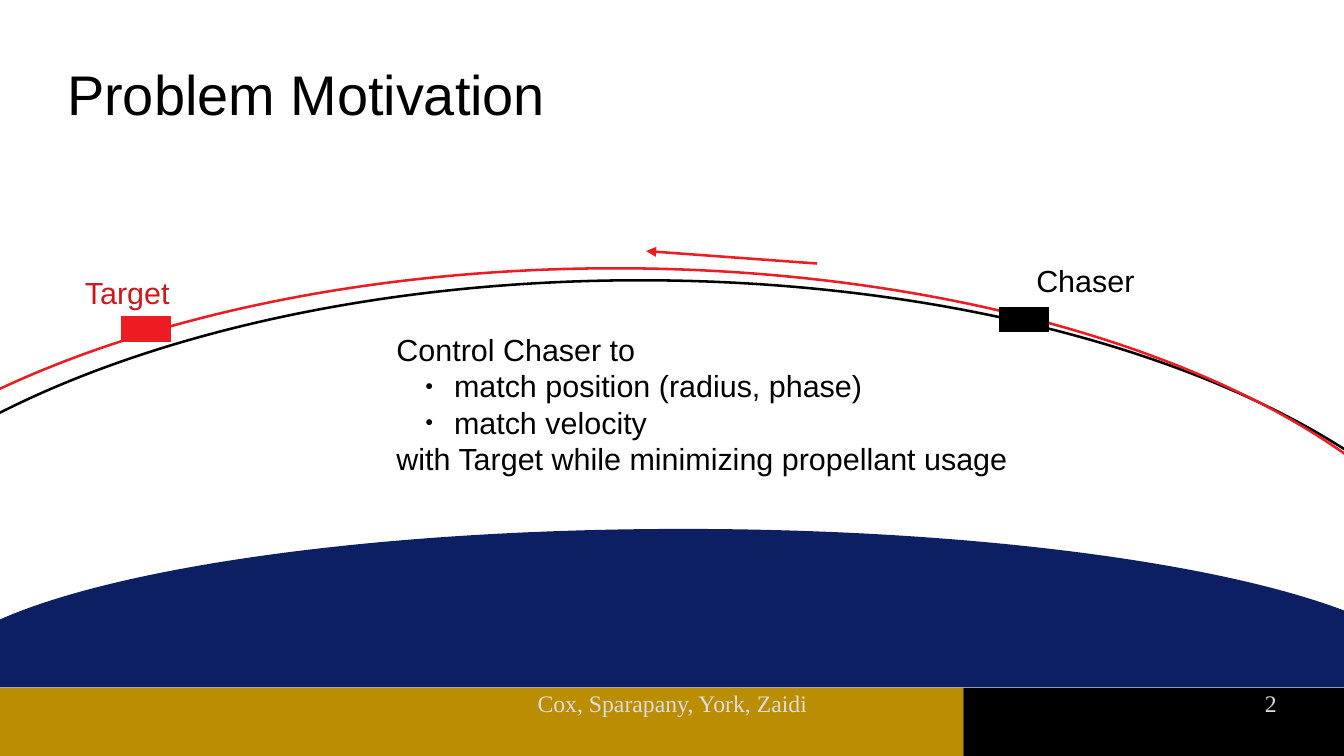
from lxml.etree import SubElement
from pptx import Presentation
from pptx.dml.color import RGBColor
from pptx.enum.shapes import MSO_CONNECTOR, MSO_SHAPE
from pptx.enum.text import MSO_ANCHOR, PP_ALIGN
from pptx.oxml.ns import qn
from pptx.util import Cm, Pt

COLORS = {
    "black": "000000", "gold": "BA8D02", "red": "ED1C24",
    "target": "CE181E", "earth": "0D1F63", "footer": "DDDDDD",
}
PAGE_WIDTH, PAGE_HEIGHT = 28, 15.75
FOOTER_TOP, FOOTER_SPLIT = 14.33, 20.07
SATELLITE_SIZE = (1.02, 0.51)
LABEL_SIZE = (3.05, 1.02)
ORBIT_SIZE = (36.83, 17.78)


def color(name):
    return RGBColor.from_string(COLORS[name])


def add_bullet(para):
    properties = para._p.get_or_add_pPr()
    properties.set("marL", str(Cm(1.2)))
    properties.set("indent", str(Cm(-0.6)))
    properties.set("lvl", "1")
    tint = SubElement(properties, qn("a:buClr"))
    SubElement(tint, qn("a:srgbClr"), val=COLORS["black"])
    SubElement(properties, qn("a:buSzPct"), val="45000")
    SubElement(properties, qn("a:buFont"), typeface="Arial")
    SubElement(properties, qn("a:buChar"), char="●")


def add_text(page, box, text, size=18, font="Arial", fill="black",
             align=PP_ALIGN.LEFT, anchor=MSO_ANCHOR.TOP, inset=(0.25, 0.13), bullets=()):
    """Write one paragraph per line of text; bullets holds the indexes of bulleted lines."""
    frame = page.shapes.add_textbox(*map(Cm, box)).text_frame
    frame.word_wrap = True
    frame.vertical_anchor = anchor
    frame.margin_left = frame.margin_right = Cm(inset[0])
    frame.margin_top = frame.margin_bottom = Cm(inset[1])
    for index, line in enumerate(text.split("\n")):
        para = frame.paragraphs[0] if index == 0 else frame.add_paragraph()
        para.alignment = align
        if index in bullets:
            add_bullet(para)
        span = para.add_run()
        span.text = line
        span.font.size = Pt(size)
        span.font.name = font
        span.font.color.rgb = color(fill)


def add_preset(page, kind, box, fill=None, line=None, line_width=1.5):
    shape = page.shapes.add_shape(kind, *map(Cm, box))
    shape.shadow.inherit = False
    if fill:
        shape.fill.solid()
        shape.fill.fore_color.rgb = color(fill)
    else:
        shape.fill.background()
    if line:
        shape.line.color.rgb = color(line)
        shape.line.width = Pt(line_width)
    else:
        shape.line.fill.background()
    return shape


def add_footer_bars(page, box):
    left, top, width, height = box
    for start, end, fill in ((left, FOOTER_SPLIT, "gold"),
                             (FOOTER_SPLIT, left + width, "black")):
        add_preset(page, MSO_SHAPE.RECTANGLE, (start, top, end - start, height), fill=fill)


def add_footer_text(page, box):
    left, top, width, height = box
    style = {"size": 14, "font": "Times New Roman", "fill": "footer", "inset": (0, 0)}
    add_text(page, (left + 9.58, top, 8.86, height), "Cox, Sparapany, York, Zaidi",
             align=PP_ALIGN.CENTER, **style)
    add_text(page, (FOOTER_SPLIT, top, left + width - 1.4 - FOOTER_SPLIT, height), "2",
             align=PP_ALIGN.RIGHT, **style)


def add_earth(page, box):
    """Fill the upper half of the ellipse in the box."""
    earth = add_preset(page, MSO_SHAPE.CHORD, box, fill="earth")
    half_turn = 180 * 60000 / 100000
    earth.adjustments[0] = half_turn
    earth.adjustments[1] = 0


def add_motion_arrow(page, start, end):
    arrow = page.shapes.add_connector(MSO_CONNECTOR.STRAIGHT, *map(Cm, start + end))
    arrow.line.color.rgb = color("red")
    arrow.line.width = Pt(1.5)
    SubElement(arrow.line._get_or_add_ln(), qn("a:tailEnd"), type="triangle")
    SubElement(arrow._element.spPr, qn("a:effectLst"))


def add_orbits(page, box):
    """Place both orbits, their satellites and labels from the top left of the box."""
    left, top = box[:2]
    for x, y, line in ((-5.08, 0.25, "black"), (-5.59, 0, "red")):
        add_preset(page, MSO_SHAPE.OVAL, (left + x, top + y, *ORBIT_SIZE), line=line)
    satellites = (
        ("Chaser", (20.83, 0.81), "black", (21.34, -0.26), "black"),
        ("Target", (2.54, 1.01), "red", (1.52, 0), "target"),
    )
    for name, (x, y), fill, (label_x, label_y), label_fill in satellites:
        add_preset(page, MSO_SHAPE.RECTANGLE, (left + x, top + y, *SATELLITE_SIZE),
                   fill=fill, line=fill, line_width=0)
        add_text(page, (left + label_x, top + label_y, *LABEL_SIZE), name, fill=label_fill)


def main():
    deck = Presentation()
    deck.slide_width, deck.slide_height = Cm(PAGE_WIDTH), Cm(PAGE_HEIGHT)
    page = deck.slides.add_slide(deck.slide_layouts[6])

    add_footer_bars(page, (0, FOOTER_TOP, 28.2, 1.93))
    add_text(page, (1.4, 0.63, 25.2, 2.64), "Problem Motivation", size=33,
             anchor=MSO_ANCHOR.MIDDLE, inset=(0, 0))
    add_orbits(page, (0, 5.59, PAGE_WIDTH, 8.74))
    add_earth(page, (-1.52, 11.02, 31.5, 6.6))
    add_motion_arrow(page, (17.02, 5.49), (13.46, 5.23))
    add_text(page, (8.01, 6.76, 14.48, 3.81),
             "Control Chaser to\n"
             "match position (radius, phase)\n"
             "match velocity\n"
             "with Target while minimizing propellant usage",
             bullets=(1, 2))
    add_footer_text(page, (0, 14.35, PAGE_WIDTH, 1.09))

    deck.save("out.pptx")


if __name__ == "__main__":
    main()
